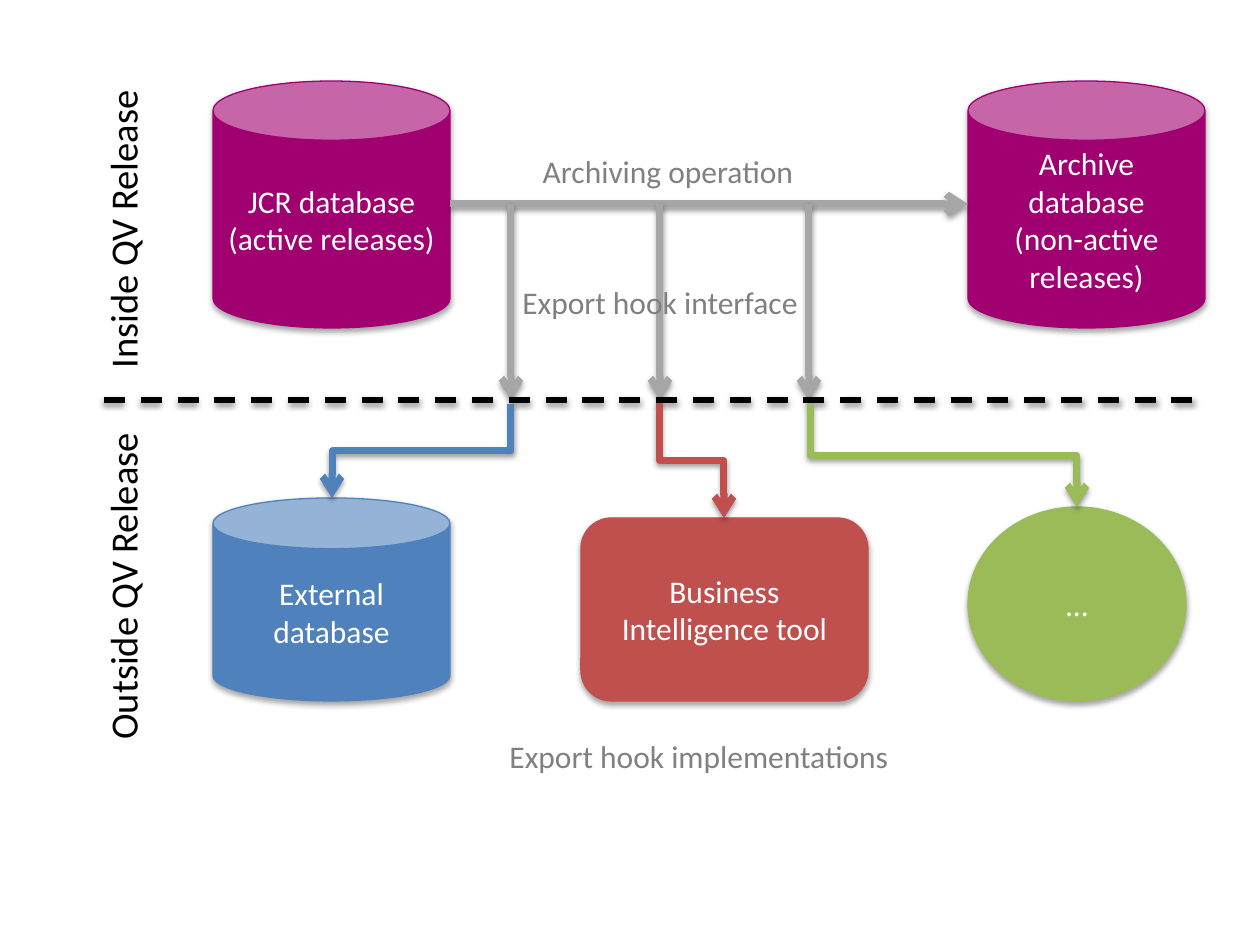
from lxml.etree import SubElement
from pptx import Presentation
from pptx.dml.color import RGBColor
from pptx.enum.dml import MSO_LINE
from pptx.enum.shapes import MSO_CONNECTOR, MSO_SHAPE
from pptx.enum.text import MSO_ANCHOR, MSO_AUTO_SIZE, PP_ALIGN
from pptx.oxml.ns import qn
from pptx.util import Emu, Pt

MAGENTA = RGBColor(0xA0, 0x00, 0x70)
BLUE = RGBColor(0x4F, 0x81, 0xBD)
RED = RGBColor(0xC0, 0x50, 0x4D)
GREEN = RGBColor(0x9B, 0xBB, 0x59)
ARROW_GRAY = RGBColor(0xA6, 0xA6, 0xA6)
LABEL_GRAY = RGBColor(0x80, 0x80, 0x80)
BLACK = RGBColor(0x00, 0x00, 0x00)
WHITE = RGBColor(0xFF, 0xFF, 0xFF)


def px(pixels):
    """Turn pixels into EMU at 126 pixels to the inch."""
    return Emu(round(pixels * 914400 / 126))


class Diagram:
    """Holds the style and the slide, and draws each kind of element."""

    font = "Calibri"

    def __init__(self, slide):
        """Keep the slide to draw on."""
        self.slide = slide

    def set_text(self, frame, text, size, color):
        """Set centred text and format its runs."""
        frame.text = text
        frame.word_wrap = True
        for paragraph in frame.paragraphs:
            paragraph.alignment = PP_ALIGN.CENTER
            for run in paragraph.runs:
                run.font.name = self.font
                run.font.size = Pt(size)
                run.font.color.rgb = color

    def shadow(self, element, distance, opacity):
        """Add a soft shadow straight below."""
        effects = SubElement(element.spPr, qn("a:effectLst"))
        outer = SubElement(effects, qn("a:outerShdw"), blurRad="40000",
                           dist=str(distance), dir="5400000", rotWithShape="0")
        black = SubElement(outer, qn("a:srgbClr"), val="000000")
        SubElement(black, qn("a:alpha"), val=str(opacity * 1000))

    def node(self, kind, box, text, color):
        """Draw a filled shape with white text."""
        node = self.slide.shapes.add_shape(kind, *map(px, box))
        node.fill.solid()
        node.fill.fore_color.rgb = color
        node.line.color.rgb = color
        node.line.width = Pt(0.75)
        self.shadow(node._element, 23000, 35)
        self.set_text(node.text_frame, text, 18, WHITE)
        node.text_frame.vertical_anchor = MSO_ANCHOR.MIDDLE

    def label(self, box, text, size=18, color=LABEL_GRAY, rotation=0, inset=0):
        """Draw a text box, turned if asked."""
        label = self.slide.shapes.add_textbox(*map(px, box))
        label.rotation = rotation
        frame = label.text_frame
        frame.margin_left = frame.margin_right = px(inset)
        frame.auto_size = MSO_AUTO_SIZE.SHAPE_TO_FIT_TEXT
        self.set_text(frame, text, size, color)

    def line(self, start, end, color, width=4, kind=MSO_CONNECTOR.STRAIGHT,
             dash=None):
        """Draw a connector; only solid ones get an arrowhead."""
        line = self.slide.shapes.add_connector(kind, *map(px, start + end))
        line.line.color.rgb = color
        line.line.width = Pt(width)
        if dash:
            line.line.dash_style = dash
        else:
            outline = line._element.spPr.find(qn("a:ln"))
            SubElement(outline, qn("a:tailEnd"), type="arrow")
        self.shadow(line._element, 20000, 38)
        return line

    def elbow(self, start, end, color):
        """Draw an arrow that goes down, sideways and down again."""
        (x1, y1), (x2, y2) = start, end
        middle_x, middle_y = (x1 + x2) / 2, (y1 + y2) / 2
        half_drop, half_shift = (y2 - y1) / 2, abs(x2 - x1) / 2
        side = 1 if x2 > x1 else -1
        elbow = self.line((middle_x + side * half_drop, middle_y - half_shift),
                          (middle_x - side * half_drop, middle_y + half_shift),
                          color, kind=MSO_CONNECTOR.ELBOW)
        turn = 270 if side > 0 else 90
        elbow._element.spPr.find(qn("a:xfrm")).set("rot", str(turn * 60000))


def build():
    """Build the export hook slide and save it."""
    deck = Presentation()
    deck.slide_width, deck.slide_height = px(1260), px(945)
    diagram = Diagram(deck.slides.add_slide(deck.slide_layouts[6]))

    for kind, box, text, color in (
        (MSO_SHAPE.CAN, (213, 81, 237, 247),
         "JCR database\n(active releases)", MAGENTA),
        (MSO_SHAPE.ROUNDED_RECTANGLE, (581, 518, 287, 183),
         "Business Intelligence tool", RED),
        (MSO_SHAPE.OVAL, (968, 507, 218, 194), "…", GREEN),
        (MSO_SHAPE.CAN, (968, 81, 237, 247),
         "Archive database\n(non-active releases)", MAGENTA),
        (MSO_SHAPE.CAN, (213, 498, 237, 203), "External database", BLUE),
    ):
        diagram.node(kind, box, text, color)

    archive_y, border_y = 204, 400
    diagram.line((450, archive_y), (968, archive_y), ARROW_GRAY)
    diagram.label((494, 146, 348, 50), "Archiving operation", inset=13)
    for hook_x in range(511, 810, 149):
        diagram.line((hook_x, archive_y), (hook_x, border_y), ARROW_GRAY)
    diagram.label((511, 277, 298, 50), "Export hook interface")
    diagram.line((104, border_y), (1205, border_y), BLACK, width=3,
                 dash=MSO_LINE.DASH)

    for start, end, color in (
        ((511, 404), (332, 498), BLUE),
        ((660, 403), (724, 518), RED),
        ((811, 404), (1077, 507), GREEN),
    ):
        diagram.elbow(start, end, color)

    diagram.label((213, 731, 972, 50), "Export hook implementations", inset=13)
    for top, text in ((200, "Inside QV Release"), (557, "Outside QV Release")):
        diagram.label((-31, top, 307, 59), text, 22, BLACK, rotation=270)

    deck.save("out.pptx")


build()
